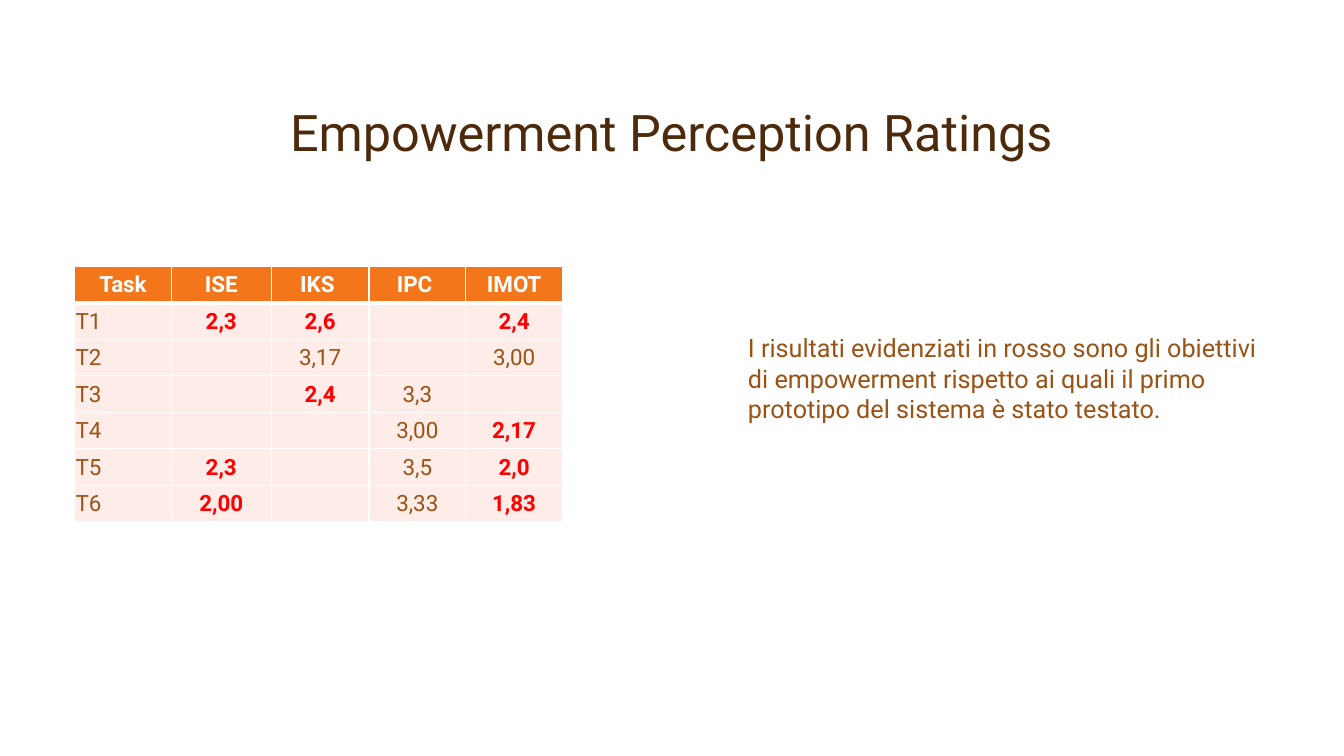
import pptx
import pptx.util
import pptx.dml.color
import pptx.enum.text
from lxml import etree
from pptx.oxml.ns import qn

Inches, Pt = pptx.util.Inches, pptx.util.Pt
ALIGN = pptx.enum.text.PP_ALIGN
ANCHOR = pptx.enum.text.MSO_ANCHOR

FONT = "Roboto"
WHITE, ORANGE, PINK = "FFFFFF", "F3771A", "FDECE8"
DARK, BROWN, RED = "4D2A0B", "9A5315", "FF0000"

TITLE = "Empowerment Perception Ratings"
NOTE = ("I risultati evidenziati in rosso sono gli obiettivi di empowerment "
        "rispetto ai quali il primo prototipo del sistema è stato testato.")
HEAD = ["Task", "ISE", "IKS ", "IPC ", "IMOT"]
RATINGS = [
    ["T1", "2,3", "2,6", "", "2,4"],
    ["T2", "", "3,17", "", "3,00"],
    ["T3", "", "2,4", "3,3", ""],
    ["T4", "", "", "3,00", "2,17"],
    ["T5", "2,3", "", "3,5", "2,0"],
    ["T6", "2,00", "", "3,33", "1,83"],
]
WIDTHS = [0.96, 0.99, 0.97, 0.96, 0.96]
HEIGHT = 2.54
LIMIT = 3  # ratings below this are shown in red


def color(code):
    return pptx.dml.color.RGBColor.from_string(code)


def write(frame, text, size, tint, bold=False, align=ALIGN.LEFT):
    frame.word_wrap = True
    para = frame.paragraphs[0]
    para.alignment = align
    run = para.add_run()
    run.text = text
    run.font.name = FONT
    run.font.size = Pt(size)
    run.font.bold = bold
    run.font.color.rgb = color(tint)
    return para


def add_text(slide, box, text, size, tint, align=ALIGN.LEFT, anchor=ANCHOR.TOP):
    frame = slide.shapes.add_textbox(*map(Inches, box)).text_frame
    frame.vertical_anchor = anchor
    return write(frame, text, size, tint, align=align)


def add_edges(cell, top, bottom):
    """Draw white cell borders; top and bottom are widths in points."""
    props = cell._tc.get_or_add_tcPr()
    edges = [("L", 1), ("R", 1), ("T", top), ("B", bottom)]
    for place, (side, width) in enumerate(edges):
        line = etree.Element(qn("a:ln" + side), w=str(Pt(width)))
        fill = etree.SubElement(line, qn("a:solidFill"))
        etree.SubElement(fill, qn("a:srgbClr"), val=WHITE)
        props.insert(place, line)


def style(row, col, text):
    """Return the colour, weight and alignment of a cell's text."""
    if row == 0:
        return WHITE, True, ALIGN.CENTER
    if col == 0:
        return BROWN, False, ALIGN.LEFT
    low = float(text.replace(",", ".")) < LIMIT
    return (RED if low else BROWN), low, ALIGN.CENTER


def add_ratings(slide):
    rows = [HEAD] + RATINGS
    table = slide.shapes.add_table(
        len(rows), len(HEAD), Inches(0.74), Inches(2.64),
        Inches(sum(WIDTHS)), Inches(HEIGHT)).table
    for col, width in enumerate(WIDTHS):
        table.columns[col].width = Inches(width)
    for row, texts in enumerate(rows):
        table.rows[row].height = Inches(HEIGHT / len(rows))
        for col, text in enumerate(texts):
            cell = table.cell(row, col)
            cell.margin_left = cell.margin_right = cell.margin_top = Inches(0.01)
            cell.margin_bottom = 0
            cell.vertical_anchor = ANCHOR.MIDDLE
            cell.fill.solid()
            cell.fill.fore_color.rgb = color(PINK if row else ORANGE)
            add_edges(cell, 3 if row == 1 else 1, 1 if row else 3)
            if text:
                write(cell.text_frame, text, 16, *style(row, col, text))


def main():
    deck = pptx.Presentation()
    deck.slide_width, deck.slide_height = Inches(13.33), Inches(7.5)
    slide = deck.slides.add_slide(deck.slide_layouts[6])
    title = add_text(slide, (1.16, 0.33, 11, 1.33), TITLE, 36, DARK,
                     ALIGN.CENTER, ANCHOR.BOTTOM)
    title.line_spacing = 0.9
    add_ratings(slide)
    add_text(slide, (7.32, 3.25, 5.5, 1.31), NOTE, 18, BROWN)
    deck.save("out.pptx")


if __name__ == "__main__":
    main()
